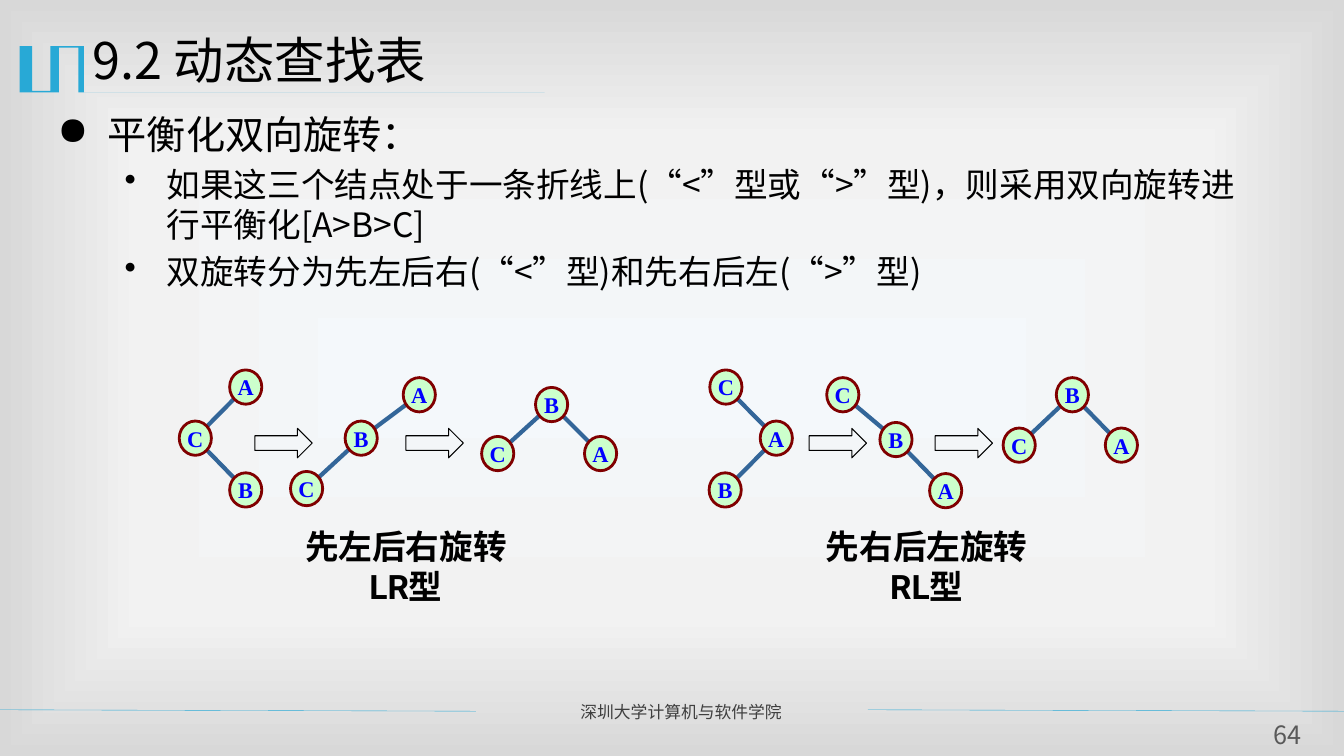
from pptx import Presentation
from pptx.dml.color import RGBColor
from pptx.enum.shapes import MSO_CONNECTOR, MSO_SHAPE
from pptx.enum.text import MSO_ANCHOR, PP_ALIGN
from pptx.oxml import parse_xml
from pptx.oxml.ns import nsdecls, qn
from pptx.util import Pt
from lxml.etree import SubElement

SANS, LABEL, SERIF = "Noto Sans CJK SC", "Roboto", "Times New Roman"
BLACK = RGBColor(0x00, 0x00, 0x00)
ACCENT = RGBColor(0x28, 0xA9, 0xD6)
FOOTER_GRAY = RGBColor(0x3F, 0x3F, 0x3F)
NUMBER_GRAY = RGBColor(0x59, 0x59, 0x59)
EDGE_BLUE = RGBColor(0x33, 0x66, 0x99)
NODE_GREEN = RGBColor(0xCC, 0xFF, 0xCC)
NODE_RED = RGBColor(0x80, 0x00, 0x00)
KEY_BLUE = RGBColor(0x00, 0x00, 0xFF)

TITLE = "9.2 动态查找表"
FOOTER = "深圳大学计算机与软件学院"
PAGE = "64"
# text, size, bullet, left margin, hanging indent
BODY = [
    ("平衡化双向旋转：", 28, "●", 36, 36),
    ("如果这三个结点处于一条折线上(“<”型或“>”型)，则采用双向旋转进行平衡化[A>B>C]",
     24, "•", 78, 30),
    ("双旋转分为先左后右(“<”型)和先右后左(“>”型)", 24, "•", 78, 30),
]
# Each tree: node centres by key, then its edges
TREES = [
    ({"A": (175.5, 276.5), "C": (139.5, 313), "B": (175.5, 350)}, ("AC", "CB")),
    ({"A": (299.5, 282), "B": (258, 313), "C": (219, 349)}, ("AB", "BC")),
    ({"B": (394, 289), "C": (355.5, 324), "A": (429, 324)}, ("BC", "BA")),
    ({"C": (518.5, 276.5), "A": (554.5, 313), "B": (518, 350)}, ("CA", "AB")),
    ({"C": (602, 282), "B": (640, 314), "A": (675.5, 350.5)}, ("CB", "BA")),
    ({"B": (766, 282), "C": (728, 318), "A": (801, 318)}, ("BC", "BA")),
]
NODE_W, NODE_H = 23, 24.5
ARROW_LEFTS = (182, 290, 578, 668)
ARROW_TOP, ARROW_W, ARROW_H = 306, 41, 21
CAPTIONS = [(("先左后右旋转", "LR型"), 290), (("先右后左旋转", "RL型"), 662)]
CAPTION_W = 180
EMBLEM = [(59, 33), (59.75, 33), (59.75, 65.5), (389, 65.5), (389, 66.25),
          (55.5, 66.25), (55.5, 34.5), (42.5, 34.5), (42.5, 66.25), (13.5, 66.25),
          (13.5, 33), (23, 33), (23, 65), (35.5, 65), (35.5, 33)]
FOOTER_RULES = [(0, 340), (620, 960)]
GRADIENT = [(0, "F4F8FB"), (63, "F2F2F2"), (100, "D8D8D8")]


def paint_background(slide):
    slide.background.fill.gradient()
    gradient = slide.element.xpath(".//p:bg//a:gradFill")[0]
    stops = "".join(f'<a:gs pos="{pos * 1000}"><a:srgbClr val="{color}"/></a:gs>'
                    for pos, color in GRADIENT)
    gradient.getparent().replace(gradient, parse_xml(
        f'<a:gradFill {nsdecls("a")} rotWithShape="1"><a:gsLst>{stops}</a:gsLst>'
        '<a:path path="rect"><a:fillToRect l="50000" t="50000" r="50000" b="50000"/>'
        '</a:path></a:gradFill>'))


def add_run(paragraph, text, size, font, color, bold=False):
    run = paragraph.add_run()
    run.text = text
    run.font.size, run.font.name, run.font.bold = Pt(size), font, bold
    run.font.color.rgb = color
    SubElement(run.font._element, qn("a:ea")).set("typeface", font)


def add_text(slide, left, top, width, height, lines, size, font, color,
             align=PP_ALIGN.CENTER, bold=False):
    frame = slide.shapes.add_textbox(Pt(left), Pt(top), Pt(width), Pt(height)).text_frame
    frame.word_wrap = True
    for i, line in enumerate(lines):
        paragraph = frame.add_paragraph() if i else frame.paragraphs[0]
        paragraph.alignment = align
        add_run(paragraph, line, size, font, color, bold)
    return frame


def add_line(slide, start, end, color, width):
    line = slide.shapes.add_connector(MSO_CONNECTOR.STRAIGHT, *map(Pt, start + end))
    line.line.color.rgb, line.line.width = color, Pt(width)
    SubElement(line._element.spPr, qn("a:effectLst"))


def add_body(slide):
    frame = slide.shapes.add_textbox(Pt(34), Pt(75), Pt(873), Pt(132)).text_frame
    frame.word_wrap = True
    for i, (text, size, bullet, margin, hang) in enumerate(BODY):
        paragraph = frame.add_paragraph() if i else frame.paragraphs[0]
        if i:
            paragraph.space_before = Pt(size * 0.2)
        properties = paragraph._p.get_or_add_pPr()
        properties.set("marL", str(Pt(margin)))
        properties.set("indent", str(-Pt(hang)))
        SubElement(properties, qn("a:buChar")).set("char", bullet)
        add_run(paragraph, text, size, SANS, BLACK)


def add_node(slide, key, center):
    x, y = center
    node = slide.shapes.add_shape(MSO_SHAPE.OVAL, Pt(x - NODE_W / 2), Pt(y - NODE_H / 2),
                                  Pt(NODE_W), Pt(NODE_H))
    node.shadow.inherit = False
    node.fill.solid()
    node.fill.fore_color.rgb = NODE_GREEN
    node.line.color.rgb, node.line.width = NODE_RED, Pt(2)
    frame = node.text_frame
    frame.word_wrap = False
    frame.vertical_anchor = MSO_ANCHOR.MIDDLE
    frame.paragraphs[0].alignment = PP_ALIGN.CENTER
    add_run(frame.paragraphs[0], key, 16, SERIF, KEY_BLUE, True)


def add_arrow(slide, left):
    arrow = slide.shapes.add_shape(MSO_SHAPE.RIGHT_ARROW, Pt(left), Pt(ARROW_TOP),
                                   Pt(ARROW_W), Pt(ARROW_H))
    arrow.shadow.inherit = False
    arrow.fill.background()
    arrow.line.color.rgb, arrow.line.width = BLACK, Pt(0.75)


def add_emblem(slide):
    outline = slide.shapes.build_freeform(*EMBLEM[0], scale=Pt(1))
    outline.add_line_segments(EMBLEM[1:], close=True)
    emblem = outline.convert_to_shape()
    emblem.shadow.inherit = False
    emblem.fill.solid()
    emblem.fill.fore_color.rgb = ACCENT
    emblem.line.fill.background()


def main():
    deck = Presentation()
    deck.slide_width, deck.slide_height = Pt(960), Pt(540)
    slide = deck.slides.add_slide(deck.slide_layouts[5])
    paint_background(slide)
    add_emblem(slide)

    title = slide.shapes.title
    title.left, title.top, title.width, title.height = Pt(59), Pt(17), Pt(864), Pt(63)
    title.text_frame.vertical_anchor = MSO_ANCHOR.TOP
    title.text_frame.paragraphs[0].alignment = PP_ALIGN.LEFT
    add_run(title.text_frame.paragraphs[0], TITLE, 36, SANS, BLACK)
    add_body(slide)

    for centers, edges in TREES:
        for parent, child in edges:
            add_line(slide, centers[parent], centers[child], EDGE_BLUE, 3)
        for key, center in centers.items():
            add_node(slide, key, center)
    for left in ARROW_LEFTS:
        add_arrow(slide, left)
    for lines, center in CAPTIONS:
        add_text(slide, center - CAPTION_W / 2, 372, CAPTION_W, 66, lines, 24, LABEL,
                 BLACK, bold=True)

    for left, right in FOOTER_RULES:
        add_line(slide, (left, 507), (right, 508), ACCENT, 0.25)
    add_text(slide, 407.5, 497.5, 205, 22, [FOOTER], 12, SANS, FOOTER_GRAY,
             PP_ALIGN.JUSTIFY)
    number = add_text(slide, 898.5, 513.5, 42.5, 22, [PAGE], 18, SANS, NUMBER_GRAY)
    number.margin_left = number.margin_right = number.margin_top = number.margin_bottom = 0
    deck.save("out.pptx")


if __name__ == "__main__":
    main()
